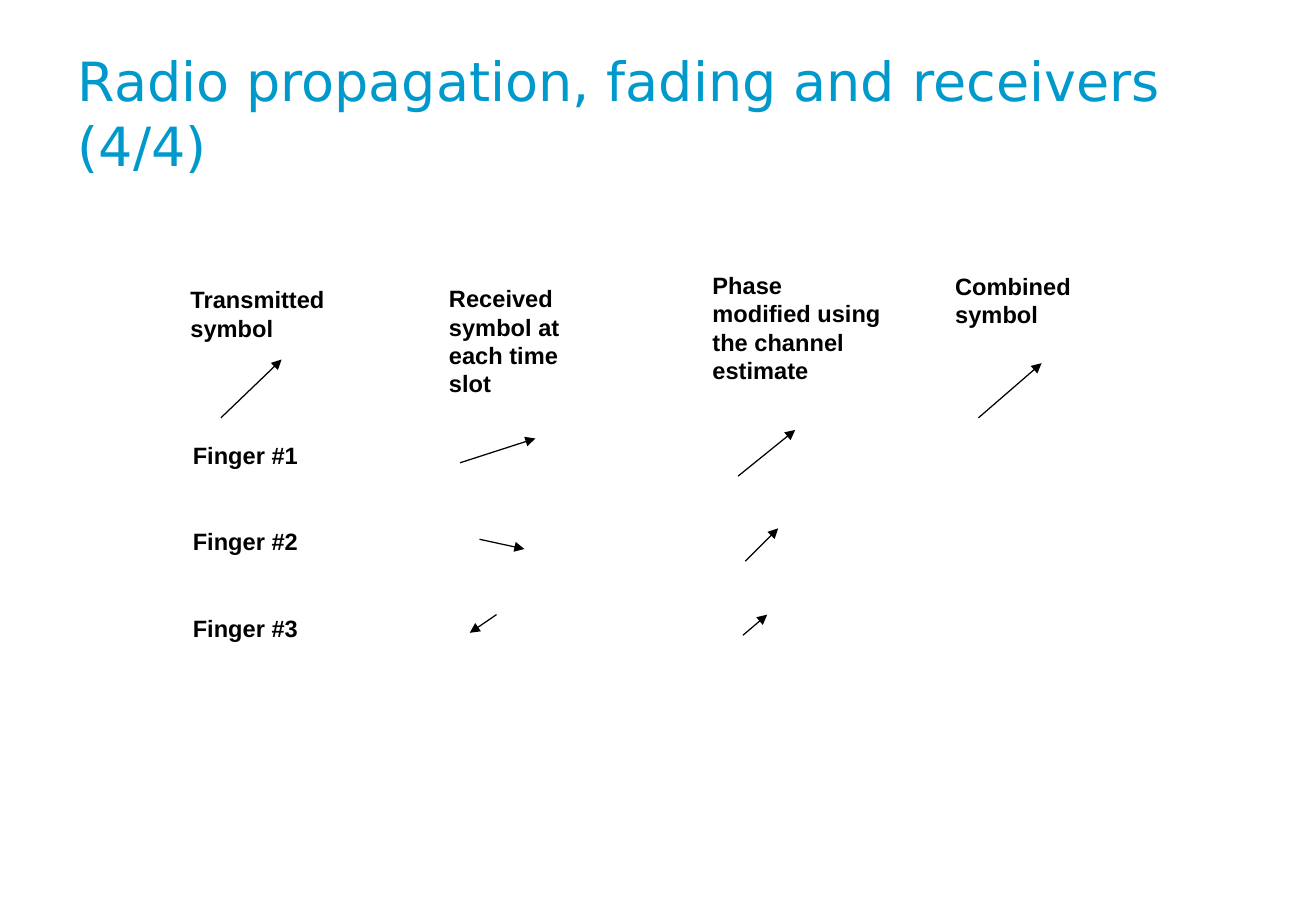
from lxml.etree import SubElement
from pptx import Presentation
from pptx.dml.color import RGBColor
from pptx.enum.shapes import MSO_CONNECTOR
from pptx.enum.text import MSO_ANCHOR, PP_ALIGN
from pptx.oxml.ns import qn
from pptx.util import Inches, Pt

BLUE = RGBColor(0x00, 0x99, 0xCC)
BLACK = RGBColor(0x00, 0x00, 0x00)

TITLE = "Radio propagation, fading and receivers (4/4)"
HEADINGS = [
    ("Transmitted symbol", (1.47, 2.3, 1.38, 0.56)),
    ("Received symbol at each time slot", (3.6, 2.29, 1.49, 1.03)),
    ("Phase modified using the channel estimate", (5.77, 2.18, 1.59, 1.03)),
    ("Combined symbol", (7.77, 2.19, 1.37, 0.56)),
]
FINGERS = ["Finger #1", "Finger #2", "Finger #3"]
FINGERS_BOX = (1.49, 3.58, 1.16, 1.75)
TRANSMITTED = [(1.82, 3.44, 2.32, 2.96)]
RECEIVED = [
    (3.79, 3.81, 4.41, 3.61),
    (3.95, 4.44, 4.32, 4.52),
    (4.09, 5.06, 3.87, 5.21),
]
PHASE_MODIFIED = [
    (6.08, 3.92, 6.55, 3.54),
    (6.14, 4.62, 6.41, 4.35),
    (6.12, 5.23, 6.32, 5.06),
]
COMBINED = [(8.06, 3.44, 8.58, 2.99)]


def add_label(slide, lines, box, space_before=0):
    frame = slide.shapes.add_textbox(*map(Inches, box)).text_frame
    frame.word_wrap = True
    frame.text = "\n".join(lines)
    for paragraph in frame.paragraphs:
        paragraph.line_spacing = Pt(16.8)
        paragraph.space_before = Pt(space_before)
        paragraph.font.name = "Arial"
        paragraph.font.size = Pt(14)
        paragraph.font.bold = True
        paragraph.font.color.rgb = BLACK


def add_symbol_arrow(slide, ends):
    arrow = slide.shapes.add_connector(MSO_CONNECTOR.STRAIGHT, *map(Inches, ends))
    arrow.line.color.rgb = BLACK
    arrow.line.width = Pt(0.75)
    SubElement(arrow.line._get_or_add_ln(), qn("a:tailEnd"), type="triangle")
    SubElement(arrow._element.spPr, qn("a:effectLst"))


def main():
    deck = Presentation()
    deck.slide_width, deck.slide_height = Inches(10.84), Inches(7.5)
    slide = deck.slides.add_slide(deck.slide_layouts[5])

    title = slide.shapes.title
    title.left, title.top = Inches(0.54), Inches(0.3)
    title.width, title.height = Inches(9.75), Inches(1.25)
    title.text_frame.text = TITLE
    title.text_frame.word_wrap = True
    title.text_frame.vertical_anchor = MSO_ANCHOR.MIDDLE
    heading = title.text_frame.paragraphs[0]
    heading.alignment = PP_ALIGN.LEFT
    heading.font.name = "DejaVu Sans"
    heading.font.size = Pt(32)
    heading.font.color.rgb = BLUE

    for text, box in HEADINGS:
        add_label(slide, [text], box)
    add_label(slide, FINGERS, FINGERS_BOX, space_before=34.5)

    for ends in TRANSMITTED + RECEIVED + PHASE_MODIFIED + COMBINED:
        add_symbol_arrow(slide, ends)

    deck.save("out.pptx")


if __name__ == "__main__":
    main()
